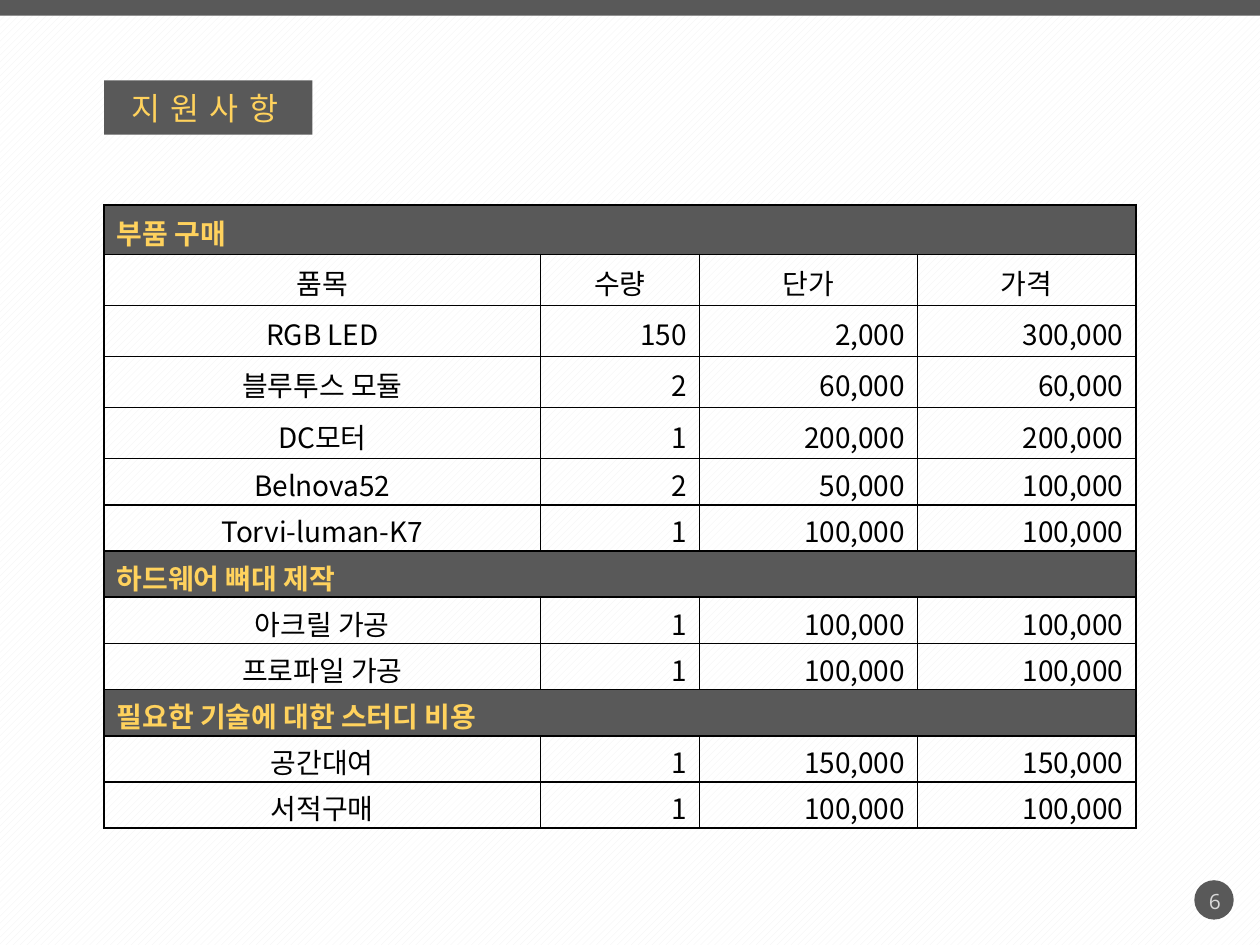
from dataclasses import dataclass

from lxml import etree
from pptx import Presentation
from pptx import util as u
from pptx.dml.color import RGBColor
from pptx.enum import dml, shapes, text
from pptx.oxml import ns

COLORS = {
    "dark": "595959",
    "gold": "FFD25D",
    "pale": "D9D9D9",
    "black": "000000",
    "white": "FFFFFF",
    "stripe": "F2F2F2",
}
LATIN_FONT = "Open Sans"
KOREAN_FONT = "Noto Sans CJK KR"
COLUMN_WIDTHS = [249.4, 90.8, 124.6, 124.8]
ROW_HEIGHTS = [28.3] + [29.2] * 4 + [26.4] * 8


@dataclass(frozen=True)
class Box:
    left: float
    top: float
    width: float
    height: float

    def lengths(self) -> list:
        return [u.Pt(value) for value in (self.left, self.top, self.width, self.height)]


@dataclass(frozen=True)
class Panel:
    kind: shapes.MSO_SHAPE
    box: Box


@dataclass(frozen=True)
class Style:
    size: float
    font: str
    color: str
    bold: bool = False
    spacing: float = 0


@dataclass(frozen=True)
class Section:
    heading: str
    rows: tuple


PANELS = [
    Panel(shapes.MSO_SHAPE.RECTANGLE, Box(59.5, 46, 119, 31)),
    Panel(shapes.MSO_SHAPE.OVAL, Box(682.5, 503, 22.5, 22.5)),
    Panel(shapes.MSO_SHAPE.RECTANGLE, Box(0, 0, 720, 9)),
]
TITLE_BOX = Box(67.7, 47.5, 111.6, 28.8)
NUMBER_BOX = Box(519.8, 500.4, 185, 28.8)
TABLE_BOX = Box(59.5, 117, sum(COLUMN_WIDTHS), sum(ROW_HEIGHTS))

TITLE_STYLE = Style(18, LATIN_FONT, "gold", spacing=6)
NUMBER_STYLE = Style(12, LATIN_FONT, "pale")
HEADING_STYLE = Style(16, KOREAN_FONT, "gold", bold=True)
ENTRY_STYLE = Style(16, KOREAN_FONT, "black")

COLUMN_TITLES = ("품목", "수량", "단가", "가격")
SECTIONS = [
    Section("부품 구매", (
        COLUMN_TITLES,
        ("RGB LED", "150", "2,000", "300,000"),
        ("블루투스 모듈", "2", "60,000", "60,000"),
        ("DC모터", "1", "200,000", "200,000"),
        ("Belnova52", "2", "50,000", "100,000"),
        ("Torvi-luman-K7", "1", "100,000", "100,000"),
    )),
    Section("하드웨어 뼈대 제작", (
        ("아크릴 가공", "1", "100,000", "100,000"),
        ("프로파일 가공", "1", "100,000", "100,000"),
    )),
    Section("필요한 기술에 대한 스터디 비용", (
        ("공간대여", "1", "150,000", "150,000"),
        ("서적구매", "1", "100,000", "100,000"),
    )),
]


def color(name: str) -> RGBColor:
    return RGBColor.from_string(COLORS[name])


def write(frame, words: str, style: Style, alignment) -> None:
    paragraph = frame.paragraphs[0]
    paragraph.alignment = alignment
    run = paragraph.add_run()
    run.text = words
    run.font.size = u.Pt(style.size)
    run.font.bold = style.bold
    run.font.color.rgb = color(style.color)
    run.font.name = style.font
    properties = run._r.get_or_add_rPr()
    etree.SubElement(properties, ns.qn("a:ea"), typeface=KOREAN_FONT)
    if style.spacing:
        properties.set("spc", str(round(style.spacing * 100)))


def paint_background(slide) -> None:
    fill = slide.background.fill
    fill.patterned()
    fill.pattern = dml.MSO_PATTERN.WIDE_UPWARD_DIAGONAL
    fill.fore_color.rgb = color("stripe")
    fill.back_color.rgb = color("white")


def draw_panel(slide, panel: Panel) -> None:
    shape = slide.shapes.add_shape(panel.kind, *panel.box.lengths())
    shape.shadow.inherit = False
    shape.fill.solid()
    shape.fill.fore_color.rgb = color("dark")
    shape.line.fill.background()


def draw_number(slide, number: str) -> None:
    frame = slide.shapes.add_textbox(*NUMBER_BOX.lengths()).text_frame
    frame.word_wrap = True
    frame.vertical_anchor = text.MSO_ANCHOR.MIDDLE
    write(frame, number, NUMBER_STYLE, text.PP_ALIGN.RIGHT)


def place_title(slide, words: str) -> None:
    title = slide.shapes.title
    title.left, title.top, title.width, title.height = TITLE_BOX.lengths()
    slide.shapes.element.append(title.element)
    frame = title.text_frame
    frame.word_wrap = False
    frame.auto_size = text.MSO_AUTO_SIZE.SHAPE_TO_FIT_TEXT
    frame.vertical_anchor = text.MSO_ANCHOR.TOP
    write(frame, words, TITLE_STYLE, text.PP_ALIGN.LEFT)


def add_borders(cell) -> None:
    properties = cell._tc.get_or_add_tcPr()
    for side in ("lnL", "lnR", "lnT", "lnB"):
        line = etree.SubElement(properties, ns.qn(f"a:{side}"), w=str(u.Pt(1)))
        fill = etree.SubElement(line, ns.qn("a:solidFill"))
        etree.SubElement(fill, ns.qn("a:srgbClr"), val=COLORS["black"])


def format_cell(cell, is_heading: bool) -> None:
    cell.margin_top, cell.margin_bottom = u.Pt(3.2), u.Pt(0)
    cell.vertical_anchor = text.MSO_ANCHOR.MIDDLE
    add_borders(cell)
    if is_heading:
        cell.fill.solid()
        cell.fill.fore_color.rgb = color("dark")
    else:
        cell.fill.background()


def fill_row(table, index: int, values: tuple) -> None:
    is_heading = len(values) == 1
    cells = list(table.rows[index].cells)
    for cell in cells:
        format_cell(cell, is_heading)
    if is_heading:
        cells[0].merge(cells[-1])
        write(cells[0].text_frame, values[0], HEADING_STYLE, text.PP_ALIGN.LEFT)
        return
    for column, (cell, value) in enumerate(zip(cells, values)):
        centered = column == 0 or values == COLUMN_TITLES
        alignment = text.PP_ALIGN.CENTER if centered else text.PP_ALIGN.RIGHT
        write(cell.text_frame, value, ENTRY_STYLE, alignment)


def draw_budget(slide) -> None:
    rows = [row for section in SECTIONS for row in ((section.heading,), *section.rows)]
    frame = slide.shapes.add_table(len(rows), len(COLUMN_WIDTHS), *TABLE_BOX.lengths())
    table = frame.table
    table.first_row = table.horz_banding = False
    for column, width in zip(table.columns, COLUMN_WIDTHS):
        column.width = u.Pt(width)
    for index, values in enumerate(rows):
        table.rows[index].height = u.Pt(ROW_HEIGHTS[index])
        fill_row(table, index, values)


def main() -> None:
    presentation = Presentation()
    presentation.slide_width, presentation.slide_height = u.Pt(720), u.Pt(540)
    slide = presentation.slides.add_slide(presentation.slide_layouts[5])
    paint_background(slide)
    for panel in PANELS:
        draw_panel(slide, panel)
    draw_number(slide, "6")
    place_title(slide, "지원사항")
    draw_budget(slide)
    presentation.save("out.pptx")


if __name__ == "__main__":
    main()
